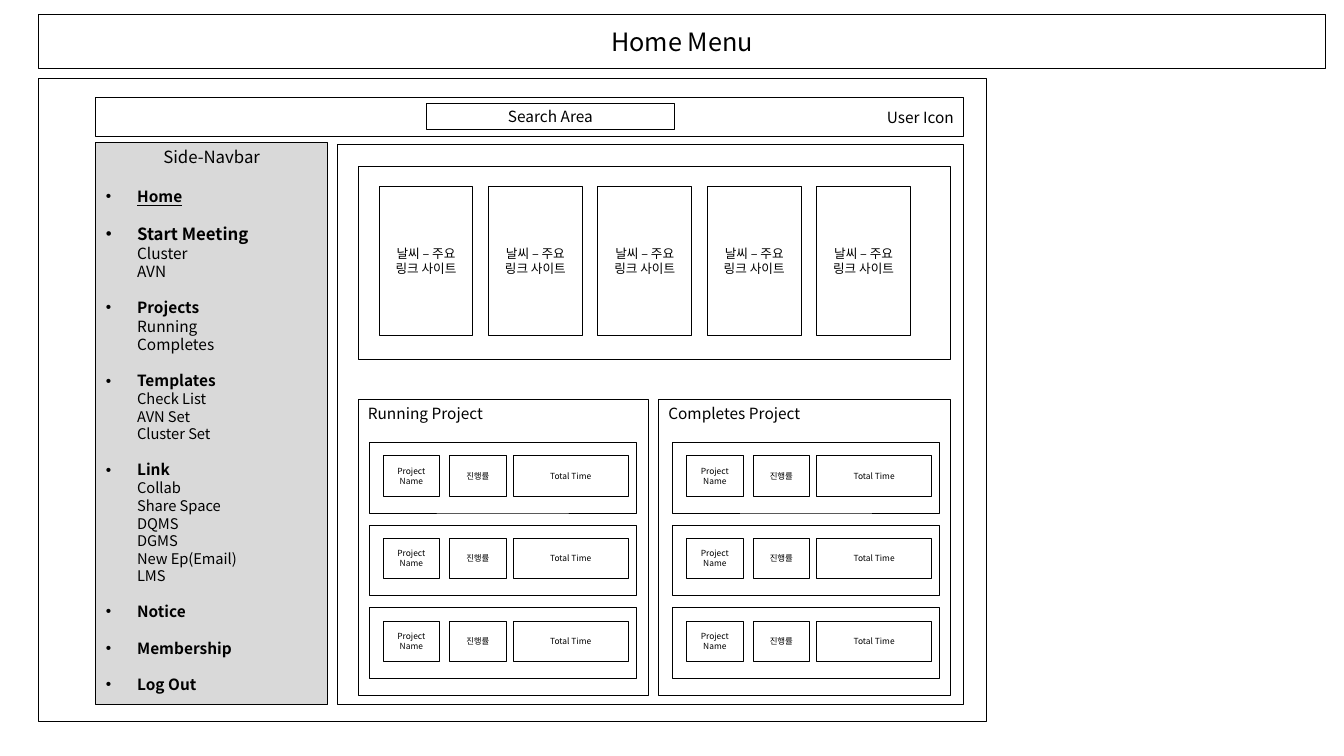
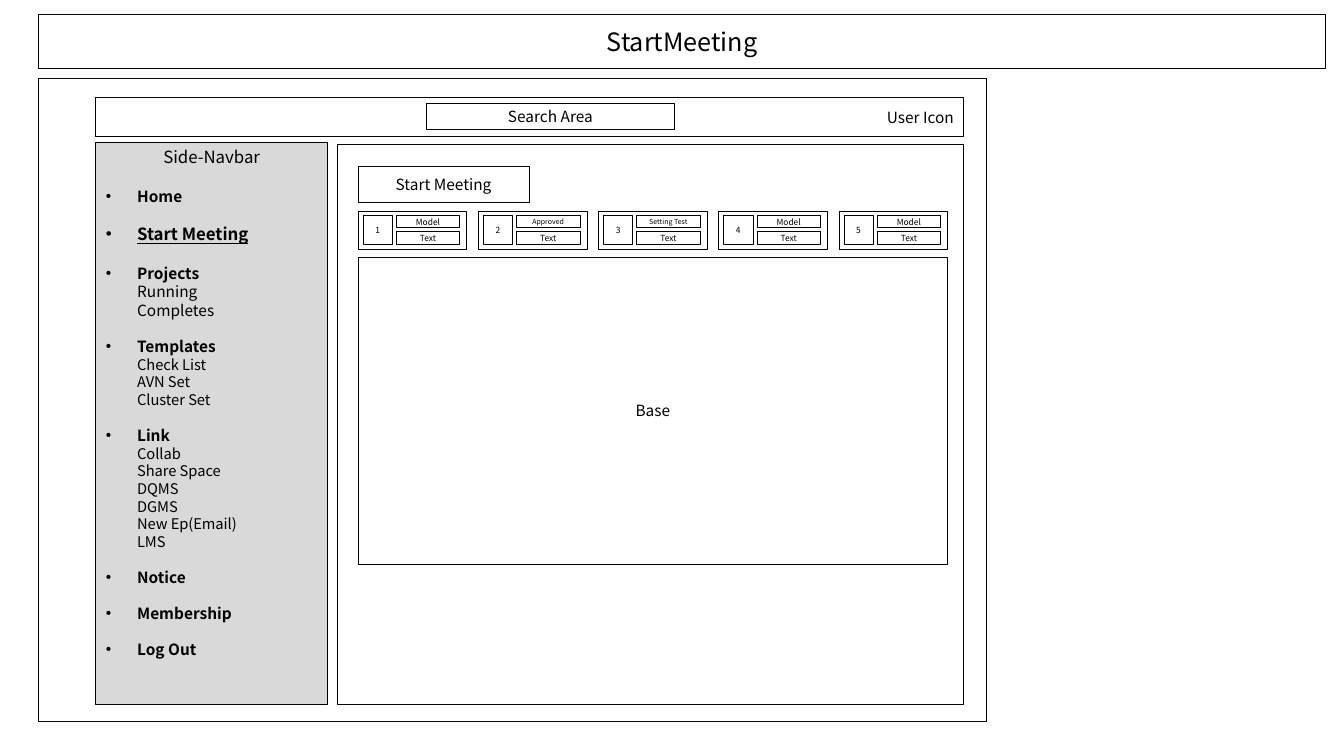
from lxml.etree import SubElement
from pptx import Presentation
from pptx.dml.color import RGBColor
from pptx.enum.shapes import MSO_SHAPE as Preset
from pptx.enum.text import MSO_ANCHOR as Anchor, MSO_AUTO_SIZE as AutoSize, PP_ALIGN as Align
from pptx.oxml.ns import qn
from pptx.util import Inches, Pt

BLACK = RGBColor(0x00, 0x00, 0x00)
GREY = RGBColor(0xD9, 0xD9, 0xD9)
FONT = "Noto Sans CJK KR"
INDENT = Inches(0.31)
NAV_HEADING_SIZE = 12

MEETING_TOPICS = ["Cluster", "AVN"]
NAV_SECTIONS = [
    ("Home", 11, [], 11),
    ("Start Meeting", 12, MEETING_TOPICS, 11),
    ("Projects", 11, ["Running", "Completes"], 11),
    ("Templates", 11, ["Check List", "AVN Set", "Cluster Set"], 10.5),
    ("Link", 11, ["Collab", "Share Space", "DQMS", "DGMS", "New Ep(Email)", "LMS"], 10.5),
    ("Notice", 11, [], 11),
    ("Membership", 11, [], 11),
    ("Log Out", 11, [], 11),
]
PROJECT_FIELDS = [("Project Name", 0.14, 0.56), ("진행률", 0.8, 0.56), ("Total Time", 1.43, 1.14)]
STEPS = [("Model", 6), ("Approved", 5), ("Setting Test", 5), ("Model", 6), ("Model", 6)]


def spread(first, last, count):
    return [first + (last - first) * i / (count - 1) for i in range(count)]


class Wireframe:
    def __init__(self):
        self.deck = Presentation()
        self.deck.slide_width = Inches(13.33)
        self.deck.slide_height = Inches(7.5)
        self.slide = None

    def page(self, title, current, hidden_topics=()):
        self.slide = self.deck.slides.add_slide(self.deck.slide_layouts[1])
        self.title(title)
        self.navbar(current, hidden_topics)
        self.box(0.38, 0.78, 9.4, 6.38)
        self.box(0.95, 0.97, 8.61, 0.38, "User Icon", align=Align.RIGHT)
        self.box(3.35, 1.43, 6.21, 5.56)
        self.box(4.23, 1.03, 2.46, 0.25, "Search Area")

    def outline(self, shape):
        shape.line.color.rgb = BLACK
        shape.line.width = Pt(0.5)

    def place(self, holder, left, top, width, height, anchor):
        holder.left, holder.top = Inches(left), Inches(top)
        holder.width, holder.height = Inches(width), Inches(height)
        holder.text_frame.auto_size = AutoSize.NONE
        holder.text_frame.vertical_anchor = anchor
        self.outline(holder)

    def style(self, paragraph, size, align=Align.LEFT, bold=False, underline=False):
        paragraph.alignment = align
        for run in paragraph.runs:
            font = run.font
            font.size = Pt(size)
            font.bold = bold
            font.underline = underline
            font.color.rgb = BLACK
            font.name = FONT
            east_asian = SubElement(run._r.rPr, qn("a:ea"))
            east_asian.set("typeface", FONT)

    def title(self, text):
        title = self.slide.shapes.title
        self.place(title, 0.38, 0.14, 12.77, 0.54, Anchor.MIDDLE)
        title.text_frame.text = text
        self.style(title.text_frame.paragraphs[0], 18, Align.CENTER)

    def bullet(self, paragraph, indent, hanging, mark=None):
        properties = paragraph._p.get_or_add_pPr()
        properties.set("marL", str(indent))
        properties.set("indent", str(-hanging))
        if mark:
            SubElement(properties, qn("a:buFont")).set("typeface", "Arial")
            SubElement(properties, qn("a:buChar")).set("char", mark)
        else:
            SubElement(properties, qn("a:buNone"))

    def navbar(self, current, hidden_topics):
        navbar = self.slide.placeholders[1]
        self.place(navbar, 0.95, 1.41, 2.3, 5.58, Anchor.TOP)
        navbar.fill.solid()
        navbar.fill.fore_color.rgb = GREY
        frame = navbar.text_frame
        frame.text = "Side-Navbar"
        heading = frame.paragraphs[0]
        heading.space_before = Pt(0)
        self.style(heading, NAV_HEADING_SIZE, Align.CENTER)
        self.bullet(heading, 0, 0)
        last_size = NAV_HEADING_SIZE
        for label, size, topics, topic_size in NAV_SECTIONS:
            section = frame.add_paragraph()
            section.text = label
            section.space_before = Pt(14.4 if last_size == NAV_HEADING_SIZE else 12.6)
            self.style(section, size, bold=True, underline=label == current)
            self.bullet(section, INDENT, INDENT, "•")
            last_size = size
            if topics is hidden_topics:
                continue
            for topic in topics:
                entry = frame.add_paragraph()
                entry.text = topic
                entry.space_before = Pt(0)
                self.style(entry, topic_size)
                self.bullet(entry, INDENT, 0)
                last_size = topic_size

    def box(self, left, top, width, height, text="", size=11,
            align=Align.CENTER, anchor=Anchor.MIDDLE, group=None):
        shapes = (group or self.slide).shapes
        box = shapes.add_shape(Preset.RECTANGLE, Inches(left), Inches(top),
                               Inches(width), Inches(height))
        box.shadow.inherit = False
        box.fill.background()
        self.outline(box)
        if text:
            frame = box.text_frame
            frame.word_wrap = True
            frame.vertical_anchor = anchor
            if anchor == Anchor.MIDDLE:
                frame.margin_top = frame.margin_bottom = 0
            frame.text = text
            self.style(frame.paragraphs[0], size, align)

    def project_panel(self, heading, left, width, row_left):
        self.box(left, 3.96, width, 2.94, heading, align=Align.LEFT, anchor=Anchor.TOP)
        for top in spread(4.39, 6.03, 3):
            self.box(row_left, top, 2.65, 0.7)
            for field, offset, field_width in PROJECT_FIELDS:
                self.box(row_left + offset, top + 0.13, field_width, 0.4, field, 6)

    def step(self, number, left, name, name_size):
        group = self.slide.shapes.add_group_shape()
        self.box(left + 0.05, 2.14, 0.29, 0.28, str(number), 6, group=group)
        self.box(left + 0.38, 2.14, 0.63, 0.12, name, name_size, group=group)
        self.box(left + 0.38, 2.3, 0.63, 0.12, "Text", 6, group=group)
        self.box(left, 2.1, 1.08, 0.37, group=group)


def home(wireframe):
    wireframe.page("Home Menu", "Home")
    wireframe.box(3.55, 1.65, 5.88, 1.92)
    wireframe.project_panel("Running Project", 3.55, 2.88, 3.66)
    wireframe.project_panel("Completes Project", 6.53, 2.9, 6.67)
    for left in spread(3.76, 8.1, 5):
        wireframe.box(left, 1.85, 0.93, 1.48, "날씨 – 주요 링크 사이트", 9)


def start_meeting(wireframe):
    wireframe.page("StartMeeting", "Start Meeting", MEETING_TOPICS)
    wireframe.box(3.55, 1.65, 1.7, 0.36, "Start Meeting")
    lefts = spread(3.55, 8.32, len(STEPS))
    for number, (left, (name, size)) in enumerate(zip(lefts, STEPS), 1):
        wireframe.step(number, left, name, size)
    wireframe.box(3.55, 2.55, 5.85, 3.05, "Base")


def main():
    wireframe = Wireframe()
    home(wireframe)
    start_meeting(wireframe)
    wireframe.deck.save("out.pptx")


if __name__ == "__main__":
    main()
